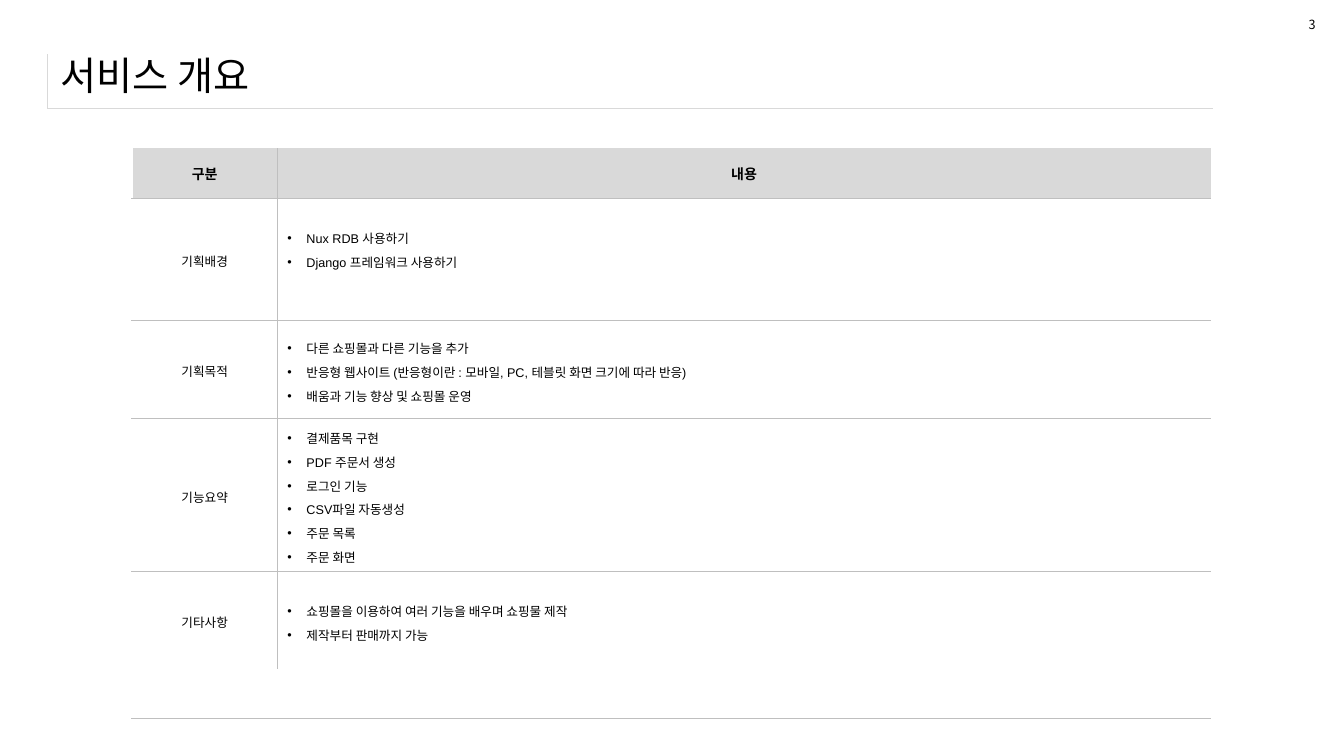
"""Build the service overview slide with its summary table."""
from dataclasses import dataclass

from lxml import etree
from pptx import Presentation
from pptx.dml.color import RGBColor
from pptx.enum import text
from pptx.oxml import ns
from pptx.util import Inches, Pt


@dataclass(frozen=True)
class Theme:
    korean: str = "Noto Sans CJK KR"
    latin: str = "Arial"
    ink: str = "000000"
    paper: str = "FFFFFF"
    header: str = "D9D9D9"
    frame: str = "D9D9D9"
    rule: str = "BFBFBF"
    title_size: float = 28
    header_size: float = 10
    body_size: float = 9
    hairline: float = 0.25


THEME = Theme()
RULE = (THEME.rule, THEME.hairline)
FRAME = (THEME.frame, THEME.hairline)
EDGE = (THEME.paper, 1)
LABEL_WIDTH, DETAIL_WIDTH, DETAIL_COLUMNS = 1.44, 9.27, 30
HEADINGS = ("구분", "내용")
HEADER_HEIGHT, FOOTER_HEIGHT = 0.5, 0.49
SECTIONS = (
    ("기획배경", 1.21, 0.29, ("Nux RDB 사용하기", "Django 프레임워크 사용하기")),
    ("기획목적", 0.97, 0.05, (
        "다른 쇼핑몰과 다른 기능을 추가",
        "반응형 웹사이트 (반응형이란 : 모바일, PC, 테블릿 화면 크기에 따라 반응)",
        "배움과 기능 향상 및 쇼핑몰 운영")),
    ("기능요약", 1.52, 0.05, (
        "결제품목 구현", "PDF 주문서 생성", "로그인 기능",
        "CSV파일 자동생성", "주문 목록", "주문 화면")),
    ("기타사항", 0.97, 0.05, (
        "쇼핑몰을 이용하여 여러 기능을 배우며 쇼핑물 제작", "제작부터 판매까지 가능")),
)


def add_element(parent, tag, **attributes):
    """Append a DrawingML element to its parent."""
    return etree.SubElement(parent, ns.qn(tag), **attributes)


def style_paragraph(paragraph, size, latin=THEME.korean, bold=False):
    """Set the Latin and Korean fonts, size and colour of a paragraph."""
    font = paragraph.font
    font.name, font.size, font.bold = latin, Pt(size), bold
    font.color.rgb = RGBColor.from_string(THEME.ink)
    latin_element = font._element.find(ns.qn("a:latin"))
    latin_element.addnext(etree.Element(ns.qn("a:ea"), typeface=THEME.korean))


def add_bullet(paragraph):
    """Give a styled paragraph a hanging round bullet."""
    properties = paragraph._p.get_or_add_pPr()
    properties.set("marL", str(Inches(0.19)))
    properties.set("indent", str(-Inches(0.19)))
    defaults = properties.find(ns.qn("a:defRPr"))
    defaults.addprevious(etree.Element(ns.qn("a:buFont"), typeface=THEME.latin))
    defaults.addprevious(etree.Element(ns.qn("a:buChar"), char="•"))


def style_cell(cell, fill=None, **borders):
    """Set the fill of a cell and its left, right, top and bottom borders."""
    cell.vertical_anchor = text.MSO_ANCHOR.MIDDLE
    properties = cell._tc.get_or_add_tcPr()
    for side in ("L", "R", "T", "B"):
        color, width = borders.get(side, (None, 0))
        line = add_element(properties, f"a:ln{side}", w=str(Pt(width)))
        if color:
            solid = add_element(line, "a:solidFill")
            add_element(solid, "a:srgbClr", val=color)
        else:
            add_element(line, "a:noFill")
    if fill:
        cell.fill.solid()
        cell.fill.fore_color.rgb = RGBColor.from_string(fill)
    else:
        cell.fill.background()


def style_span(table, row, first, fill=None, left=None, **borders):
    """Style and merge the cells of a row from a first column to the last."""
    last = len(table.columns) - 1
    for column in range(first, last + 1):
        sides = {**borders, "L": left} if column == first else borders
        style_cell(table.cell(row, column), fill, **sides)
    table.cell(row, first).merge(table.cell(row, last))
    return table.cell(row, first)


def write_cell(cell, lines, size, latin, alignment, spacing=None, bold=False):
    """Write one paragraph a line into a cell and return the paragraphs."""
    cell.text = "\n".join(lines)
    paragraphs = cell.text_frame.paragraphs
    for paragraph in paragraphs:
        paragraph.alignment = alignment
        paragraph.line_spacing = spacing
        style_paragraph(paragraph, size, latin, bold)
    return paragraphs


def add_label(slide, box, content, size, wrap):
    """Add a text box with a single line of text."""
    shape = slide.shapes.add_textbox(*map(Inches, box))
    frame = shape.text_frame
    frame.word_wrap = wrap
    frame.vertical_anchor = text.MSO_ANCHOR.MIDDLE
    frame.text = content
    style_paragraph(frame.paragraphs[0], size)


def add_grid(slide, left, top, widths, heights):
    """Add a plain table with the given column widths and row heights."""
    box = map(Inches, (left, top, sum(widths), sum(heights)))
    table = slide.shapes.add_table(len(heights), len(widths), *box).table
    table.first_row = table.horz_banding = False
    for column, width in zip(table.columns, widths):
        column.width = Inches(width)
    for row, height in zip(table.rows, heights):
        row.height = Inches(height)
    return table


def add_overview(slide):
    """Add the table of headings, sections and an empty closing row."""
    widths = [LABEL_WIDTH] + [DETAIL_WIDTH / DETAIL_COLUMNS] * DETAIL_COLUMNS
    heights = [HEADER_HEIGHT, *(section[1] for section in SECTIONS), FOOTER_HEIGHT]
    table = add_grid(slide, 1.31, 1.47, widths, heights)
    center, justify = text.PP_ALIGN.CENTER, text.PP_ALIGN.JUSTIFY

    style_cell(table.cell(0, 0), THEME.header, L=EDGE, R=RULE, B=RULE)
    style_span(table, 0, 1, THEME.header, left=RULE, B=RULE)
    for column, heading in enumerate(HEADINGS):
        write_cell(table.cell(0, column), [heading], THEME.header_size,
                   THEME.korean, center, bold=True)

    for row, (name, _, bottom, items) in enumerate(SECTIONS, 1):
        sides = {"T": RULE}
        if row < len(SECTIONS):
            sides["B"] = RULE
        label = table.cell(row, 0)
        style_cell(label, L=EDGE, R=RULE, **sides)
        details = style_span(table, row, 1, left=RULE, **sides)
        details.margin_bottom = Inches(bottom)
        write_cell(label, [name], THEME.body_size, THEME.latin, center, 1.2)
        for paragraph in write_cell(
                details, items, THEME.body_size, THEME.latin, justify, 1.3):
            add_bullet(paragraph)

    style_span(table, len(heights) - 1, 0, left=EDGE, B=RULE)


def main():
    """Build and save the slide."""
    presentation = Presentation()
    presentation.slide_width, presentation.slide_height = Inches(13.33), Inches(7.5)
    slide = presentation.slides.add_slide(presentation.slide_layouts[6])
    title_frame = add_grid(slide, 0.47, 0.54, [11.56], [0.53])
    style_cell(title_frame.cell(0, 0), L=FRAME, B=FRAME)
    add_label(slide, (0.5, 0.41, 12.49, 0.67), "서비스 개요", THEME.title_size, True)
    add_overview(slide)
    add_label(slide, (12.88, 0.12, 0.27, 0.25), "3", THEME.body_size, False)
    presentation.save("out.pptx")


if __name__ == "__main__":
    main()
